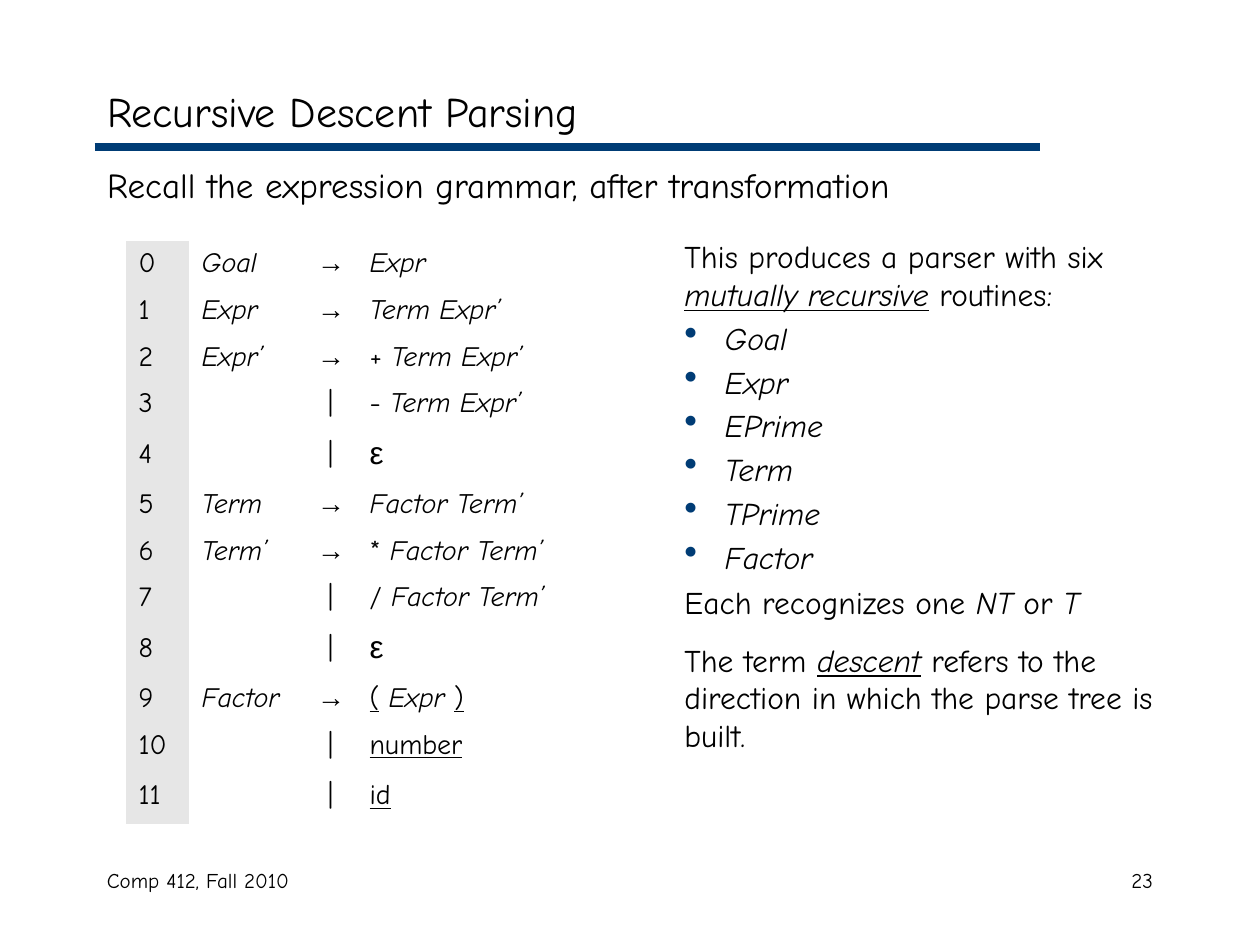
from lxml import etree
from pptx import Presentation
from pptx.dml.color import RGBColor
from pptx.enum.shapes import MSO_CONNECTOR
from pptx.enum.text import MSO_ANCHOR, MSO_AUTO_SIZE, PP_ALIGN
from pptx.oxml.ns import qn
from pptx.util import Inches, Pt

LEFT, CENTER, RIGHT = PP_ALIGN.LEFT, PP_ALIGN.CENTER, PP_ALIGN.RIGHT
MIDDLE = MSO_ANCHOR.MIDDLE
NO_AUTOFIT = MSO_AUTO_SIZE.NONE
STRAIGHT = MSO_CONNECTOR.STRAIGHT

COLORS = {"text": "000000", "accent": "003C75", "numbers": "E6E6E6"}
BODY_FONT, SYMBOL_FONT = "Comic Neue", "Arial"
PLAIN_TABLE_STYLE = "{2D5ABB26-0587-4C30-8999-92F81FD0307C}"
SLIDE_COLUMNS, SLIDE_ROWS = 120, 90  # twelve grid steps to the inch
PRODUCTION_COLUMNS = (6, 11, 5, 21)
ROW_HEIGHT, ALTERNATIVE_HEIGHT = Inches(0.37), Inches(0.4)

# Each right-hand side is a list of (text, style) runs: i = italic, u = underlined.
PRODUCTIONS = [
    ("Goal", [("Expr", "i")]),
    ("Expr", [("Term Expr’", "i")]),
    ("Expr’", [("+ ", ""), ("Term Expr’", "i")]),
    ("", [("- ", ""), ("Term Expr’", "i")]),
    ("", [("ε", "")]),
    ("Term", [("Factor Term’", "i")]),
    ("Term’", [("* ", ""), ("Factor Term’", "i")]),
    ("", [("/ ", ""), ("Factor Term’", "i")]),
    ("", [("ε", "")]),
    ("Factor", [("(", "u"), (" ", ""), ("Expr ", "i"), (")", "u")]),
    ("", [("number", "u")]),
    ("", [("id", "u")]),
]
ROUTINES = ["Goal", "Expr", "EPrime", "Term", "TPrime", "Factor"]


def grid(steps):
    return Inches(steps / 12)


def color(name):
    return RGBColor.from_string(COLORS[name])


def write(paragraph, runs, size, face=BODY_FONT, align=LEFT, before=0):
    """Fill a paragraph with (text, style) runs in one font."""
    paragraph.alignment = align
    paragraph.space_before = Pt(before)
    font = paragraph.font
    font.name, font.size = face, Pt(size)
    font.color.rgb = color("text")
    for text, style in runs:
        run = paragraph.add_run()
        run.text = text
        if "i" in style:
            run.font.italic = True
        if "u" in style:
            run.font.underline = True


def set_bullet(paragraph, indent):
    properties = paragraph._p.get_or_add_pPr()
    properties.set("marL", str(indent))
    properties.set("indent", str(-indent))
    bullet_color = etree.SubElement(properties, qn("a:buClr"))
    etree.SubElement(bullet_color, qn("a:srgbClr"), val=COLORS["accent"])
    etree.SubElement(properties, qn("a:buSzPct"), val="120000")
    etree.SubElement(properties, qn("a:buChar"), char="•")


def clear_bullet(paragraph):
    properties = paragraph._p.get_or_add_pPr()
    properties.set("marL", "0")
    properties.set("indent", "0")
    etree.SubElement(properties, qn("a:buNone"))


def place(placeholder, left, top, width, height):
    placeholder.left, placeholder.top = grid(left), grid(top)
    placeholder.width, placeholder.height = grid(width), grid(height)
    placeholder.text_frame.auto_size = NO_AUTOFIT
    return placeholder.text_frame


def add_text(slide, left, top, width, height):
    frame = slide.shapes.add_textbox(
        grid(left), grid(top), grid(width), grid(height)).text_frame
    frame.word_wrap = True
    return frame


def add_headings(slide):
    title = place(slide.shapes.title, 9, 7, 102, 7)
    title.vertical_anchor = MIDDLE
    write(title.paragraphs[0], [("Recursive Descent Parsing", "")], 24)

    body = place(slide.placeholders[1], 9, 15, 102, 65)
    clear_bullet(body.paragraphs[0])
    write(body.paragraphs[0],
          [("Recall the expression grammar, after transformation", "")], 20)


def add_title_rule(slide):
    rule = slide.shapes.add_connector(
        STRAIGHT, grid(9), grid(14), grid(99), grid(14))
    rule.line.color.rgb = color("accent")
    rule.line.width = Pt(4.5)
    etree.SubElement(rule.element.spPr, qn("a:effectLst"))


def add_grammar(slide):
    heights = [ROW_HEIGHT if left_side else ALTERNATIVE_HEIGHT
               for left_side, _ in PRODUCTIONS]
    frame = slide.shapes.add_table(
        len(PRODUCTIONS), len(PRODUCTION_COLUMNS), grid(12), grid(23),
        grid(sum(PRODUCTION_COLUMNS)), sum(heights))
    for style_id in frame.element.iter(qn("a:tableStyleId")):
        style_id.text = PLAIN_TABLE_STYLE
    table = frame.table
    table.first_row = table.horz_banding = False
    for column, width in zip(table.columns, PRODUCTION_COLUMNS):
        column.width = grid(width)

    for number, (left_side, right_side) in enumerate(PRODUCTIONS):
        table.rows[number].height = heights[number]
        cells = [table.cell(number, i) for i in range(len(PRODUCTION_COLUMNS))]
        for cell in cells[1:]:
            cell.fill.background()
        cells[0].fill.solid()
        cells[0].fill.fore_color.rgb = color("numbers")

        index, name, sign, expansion = [
            cell.text_frame.paragraphs[0] for cell in cells]
        write(index, [(str(number), "")], 16)
        if left_side:
            write(name, [(left_side, "i")], 16)
            write(sign, [("→", "")], 16, SYMBOL_FONT, CENTER)
        else:
            write(sign, [("|", "")], 16, align=CENTER)
        if right_side == [("ε", "")]:
            expansion.line_spacing = 0.95
            write(expansion, right_side, 18, SYMBOL_FONT)
        else:
            write(expansion, right_side, 16)


def add_explanation(slide):
    frame = add_text(slide, 64, 22, 50, 50)
    write(frame.paragraphs[0], [
        ("This produces a parser with six ", ""),
        ("mutually recursive", "iu"), (" routines:", "")], 18)
    for routine in ROUTINES:
        item = frame.add_paragraph()
        set_bullet(item, Inches(0.32))
        write(item, [(routine, "i")], 18, before=3.4)
    write(frame.add_paragraph(), [
        ("Each recognizes one ", ""), ("NT", "i"), (" or ", ""), ("T", "i")],
        18, before=4.5)
    write(frame.add_paragraph(), [
        ("The term ", ""), ("descent", "iu"),
        (" refers to the direction in which the parse tree is built.", "")],
        18, before=11.2)


def add_footer(slide):
    course = add_text(slide, 9, 82, 38, 6)
    write(course.paragraphs[0], [("Comp 412, Fall 2010", "")], 12)
    page = add_text(slide, 86, 82, 25, 6)
    write(page.paragraphs[0], [("23", "")], 12, align=RIGHT)


def main():
    presentation = Presentation()
    presentation.slide_width = grid(SLIDE_COLUMNS)
    presentation.slide_height = grid(SLIDE_ROWS)
    slide = presentation.slides.add_slide(presentation.slide_layouts[1])
    add_title_rule(slide)
    add_footer(slide)
    add_headings(slide)
    add_explanation(slide)
    add_grammar(slide)
    presentation.save("out.pptx")


if __name__ == "__main__":
    main()
